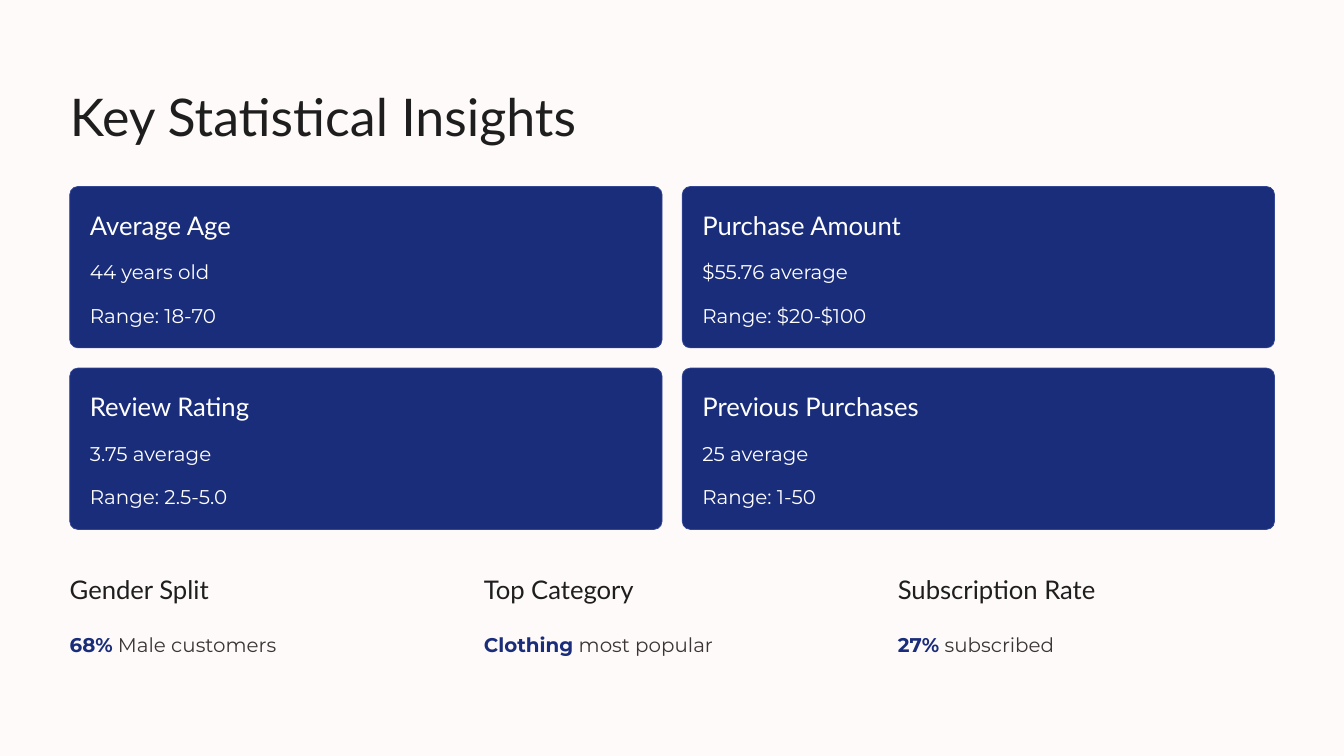
"""Build the slide of key statistical insights."""
import pptx
import pptx.util
import pptx.dml.color
import pptx.enum.shapes
import pptx.enum.text

Cm, Pt = pptx.util.Cm, pptx.util.Pt

TITLE = "Key Statistical Insights"
CARDS = [
    ("Average Age", "44 years old", "Range: 18-70"),
    ("Purchase Amount", "$55.76 average", "Range: $20-$100"),
    ("Review Rating", "3.75 average", "Range: 2.5-5.0"),
    ("Previous Purchases", "25 average", "Range: 1-50"),
]
FACTS = [
    ("Gender Split", "68%", " Male customers"),
    ("Top Category", "Clothing", " most popular"),
    ("Subscription Rate", "27%", " subscribed"),
]

PAPER, NAVY, EDGE = "FFFAFA", "1A2D7A", "334693"
INK, GREY, WHITE = "1F1E1E", "3B3535", "FFFFFF"
BIG = {"name": "Lato", "size": Pt(44.5), "bold": False}
HEAD = {"name": "Lato", "size": Pt(22), "bold": False}
BODY = {"name": "Montserrat", "size": Pt(17), "bold": False}
BOLD = {**BODY, "bold": True}
FRAME = {
    "margin_left": 0, "margin_top": 0, "margin_right": 0, "margin_bottom": 0,
    "word_wrap": False,
    "auto_size": pptx.enum.text.MSO_AUTO_SIZE.NONE,
    "vertical_anchor": pptx.enum.text.MSO_ANCHOR.TOP,
}

LEFT, TOP = 2.11, 5.64
CARD_W, CARD_H, GAP = 17.91, 4.88, 0.61
PAD = 0.61
FACT_TOP, FACT_STEP = 17.3, 12.52


def paint(color, code):
    color.rgb = pptx.dml.color.RGBColor.from_string(code)


def apply(item, values):
    for key, value in values.items():
        setattr(item, key, value)


def write(shape, lead, runs):
    frame = shape.text_frame
    apply(frame, FRAME)
    para = frame.paragraphs[0]
    para.alignment = pptx.enum.text.PP_ALIGN.LEFT
    para.line_spacing = Pt(lead)
    for text, font, code in runs:
        run = para.add_run()
        run.text = text
        apply(run.font, font)
        paint(run.font.color, code)


def label(slide, x, y, w, h, lead, *runs):
    box = slide.shapes.add_textbox(Cm(x), Cm(y), Cm(w), Cm(h))
    write(box, lead, runs)


def heading(slide, x, y, text, code):
    label(slide, x, y, 7.92, 0.99, 28, (text, HEAD, code))


def card(slide, x, y, name, mean, span):
    kind = pptx.enum.shapes.MSO_SHAPE.ROUNDED_RECTANGLE
    tile = slide.shapes.add_shape(kind, Cm(x), Cm(y), Cm(CARD_W), Cm(CARD_H))
    tile.adjustments[0] = 0.05
    tile.shadow.inherit = False
    tile.fill.solid()
    paint(tile.fill.fore_color, NAVY)
    paint(tile.line.color, EDGE)
    tile.line.width = Pt(0.6)
    heading(slide, x + PAD, y + 0.64, name, WHITE)
    for drop, text in ((1.98, mean), (3.3, span)):
        label(slide, x + PAD, y + drop, 16.66, 0.97, 27, (text, BODY, WHITE))


def main():
    deck = pptx.Presentation()
    apply(deck, {"slide_width": Cm(40.64), "slide_height": Cm(22.86)})
    slide = deck.slides.add_slide(deck.slide_layouts[5])
    slide.background.fill.solid()
    paint(slide.background.fill.fore_color, PAPER)

    title = slide.shapes.title
    apply(title, {"left": Cm(LEFT), "top": Cm(2.46),
                  "width": Cm(18.24), "height": Cm(1.98)})
    write(title, 56, [(TITLE, BIG, INK)])

    for i, words in enumerate(CARDS):
        row, col = divmod(i, 2)
        card(slide, LEFT + col * (CARD_W + GAP),
             TOP + row * (CARD_H + GAP), *words)

    for i, (name, key, rest) in enumerate(FACTS):
        x = LEFT + i * FACT_STEP
        heading(slide, x, FACT_TOP, name, INK)
        label(slide, x, FACT_TOP + 1.6, 11.05, 0.97, 27,
              (key, BOLD, NAVY), (rest, BODY, GREY))

    deck.save("out.pptx")


if __name__ == "__main__":
    main()
